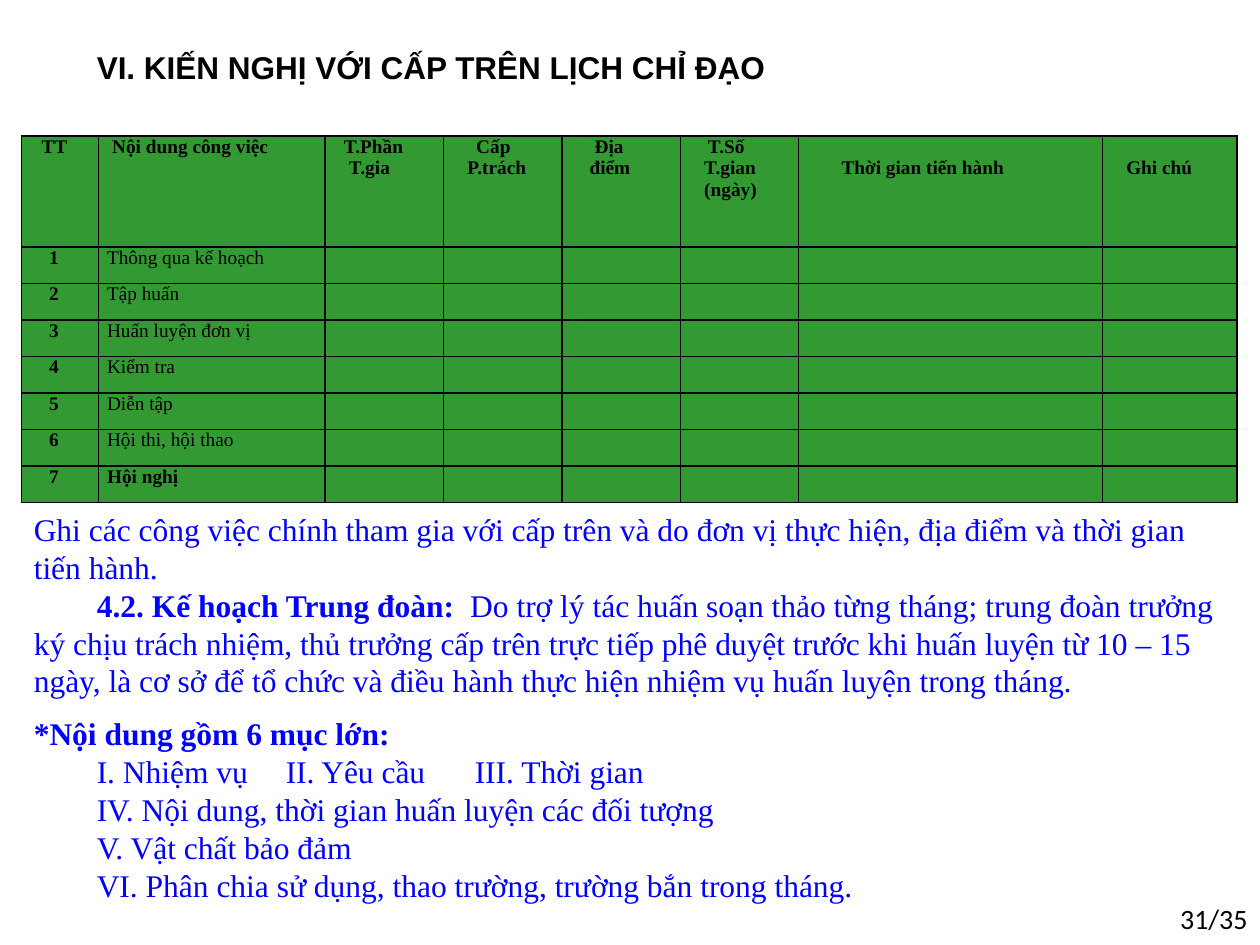
from dataclasses import dataclass

from lxml.etree import SubElement
from pptx import Presentation
from pptx.dml.color import RGBColor
from pptx.enum.text import MSO_AUTO_SIZE as Fit, PP_ALIGN as Align
from pptx.oxml.ns import qn
from pptx.util import Inches, Pt

BLACK = RGBColor(0, 0, 0)
BLUE = RGBColor(0, 0, 255)
GREEN = RGBColor(0x33, 0x99, 0x33)
SERIF = "Times New Roman"
LEFT = 0.17


@dataclass(frozen=True)
class Run:
    text: str
    bold: bool = False


@dataclass(frozen=True)
class Para:
    runs: tuple[Run, ...]
    first: float = 0
    tabs: tuple[float, ...] = ()
    align: Align = Align.LEFT


@dataclass(frozen=True)
class Style:
    size: float
    font: str
    color: RGBColor


@dataclass(frozen=True)
class Box:
    left: float
    top: float
    width: float
    height: float
    style: Style
    paras: tuple[Para, ...]


@dataclass(frozen=True)
class Head:
    width: float
    lines: tuple[tuple[str, float], ...]
    top: float = 0


BODY = Style(18, SERIF, BLUE)
CELL = Style(11, SERIF, BLACK)

BOXES = (
    Box(9, 7.11, 1, 0.4, Style(16, "Calibri", BLACK),
        (Para((Run("31/35"),), align=Align.RIGHT),)),
    Box(LEFT, 0.33, 9.67, 0.4, Style(18, "Arial", BLACK),
        (Para((Run("VI. KIẾN NGHỊ VỚI CẤP TRÊN LỊCH CHỈ ĐẠO", True),), 0.5),)),
    Box(LEFT, 4, 9.67, 1.62, BODY, (
        Para((Run("Ghi các công việc chính tham gia với cấp trên và do đơn vị "
                  "thực hiện, địa điểm và thời gian tiến hành."),)),
        Para((Run("4.2. Kế hoạch Trung đoàn: ", True),
              Run(" Do trợ lý tác huấn soạn thảo từng tháng; trung đoàn trưởng "
                  "ký chịu trách nhiệm, thủ trưởng cấp trên trực tiếp phê duyệt "
                  "trước khi huấn luyện từ 10 – 15 ngày, là cơ sở để tổ chức và "
                  "điều hành thực hiện nhiệm vụ huấn luyện trong tháng.")), 0.5),
    )),
    Box(LEFT, 5.62, 9.54, 1.62, BODY, (
        Para((Run("*Nội dung gồm 6 mục lớn:", True),)),
        Para((Run("I. Nhiệm vụ\tII. Yêu cầu\tIII. Thời gian"),), 0.5, (2, 3.6)),
        Para((Run("IV. Nội dung, thời gian huấn luyện các đối tượng"),), 0.5),
        Para((Run("V. Vật chất bảo đảm"),), 0.5),
        Para((Run("VI. Phân chia sử dụng, thao trường, trường bắn trong tháng."),), 0.5),
    )),
)

HEADS = (
    Head(0.61, (("TT", 0.09),)),
    Head(1.8, (("Nội dung công việc", 0.04),)),
    Head(0.94, (("T.Phần", 0.08), ("T.gia", 0.12))),
    Head(0.94, (("Cấp", 0.19), ("P.trách", 0.12))),
    Head(0.94, (("Địa", 0.19), ("điểm", 0.15))),
    Head(0.94, (("T.Số", 0.15), ("T.gian", 0.12), ("(ngày)", 0.12))),
    Head(2.41, (("Thời gian tiến hành", 0.27),), 0.17),
    Head(1.07, (("Ghi chú", 0.12),), 0.17),
)

TASKS = (
    Run("Thông qua kế hoạch"), Run("Tập huấn"), Run("Huấn luyện đơn vị"),
    Run("Kiểm tra"), Run("Diễn tập"), Run("Hội thi, hội thao"),
    Run("Hội nghị", True),
)


def write(frame, paras: tuple[Para, ...], style: Style) -> None:
    for i, item in enumerate(paras):
        para = frame.paragraphs[0] if i == 0 else frame.add_paragraph()
        para.alignment = item.align
        props = para._p.get_or_add_pPr()
        props.set("marL", "0")
        props.set("indent", str(Inches(item.first)))
        if item.tabs:
            stops = SubElement(props, qn("a:tabLst"))
            for pos in item.tabs:
                SubElement(stops, qn("a:tab"), pos=str(Inches(pos)), algn="l")
        for part in item.runs:
            run = para.add_run()
            run.text = part.text
            font = run.font
            font.size, font.name, font.bold = Pt(style.size), style.font, part.bold
            font.color.rgb = style.color


def add_box(slide, box: Box) -> None:
    shape = slide.shapes.add_textbox(
        *map(Inches, (box.left, box.top, box.width, box.height)))
    frame = shape.text_frame
    frame.word_wrap = True
    frame.auto_size = Fit.SHAPE_TO_FIT_TEXT
    write(frame, box.paras, box.style)


def dress(cell) -> None:
    cell.margin_left = cell.margin_right = Inches(0.07)
    cell.margin_top = cell.margin_bottom = 0
    props = cell._tc.get_or_add_tcPr()
    for side in ("lnL", "lnR", "lnT", "lnB"):
        line = SubElement(props, qn(f"a:{side}"), w=str(Pt(1)))
        fill = SubElement(line, qn("a:solidFill"))
        SubElement(fill, qn("a:srgbClr"), val=str(BLACK))
    cell.fill.solid()
    cell.fill.fore_color.rgb = GREEN


def add_plan(slide) -> None:
    rows = len(TASKS) + 1
    table = slide.shapes.add_table(
        rows, len(HEADS), *map(Inches, (LEFT, 1.08, 9.67, 2.92))).table
    for i, row in enumerate(table.rows):
        row.height = Inches(0.29 if i else 0.88)
        for cell in row.cells:
            dress(cell)
    for i, head in enumerate(HEADS):
        table.columns[i].width = Inches(head.width)
        cell = table.cell(0, i)
        cell.margin_top = Inches(head.top)
        write(cell.text_frame,
              tuple(Para((Run(text, True),), first) for text, first in head.lines), CELL)
    for i, task in enumerate(TASKS, 1):
        write(table.cell(i, 0).text_frame, (Para((Run(str(i), True),), 0.15),), CELL)
        write(table.cell(i, 1).text_frame, (Para((task,)),), CELL)
        for col in range(2, len(HEADS)):
            para = table.cell(i, col).text_frame.paragraphs[0]
            SubElement(para._p, qn("a:endParaRPr"), sz=str(CELL.size * 100))


def main() -> None:
    """Build the slide with the work plan table and its notes."""
    deck = Presentation()
    deck.slide_width, deck.slide_height = Inches(10), Inches(7.5)
    slide = deck.slides.add_slide(deck.slide_layouts[6])
    add_plan(slide)
    for box in BOXES:
        add_box(slide, box)
    deck.save("out.pptx")


if __name__ == "__main__":
    main()
